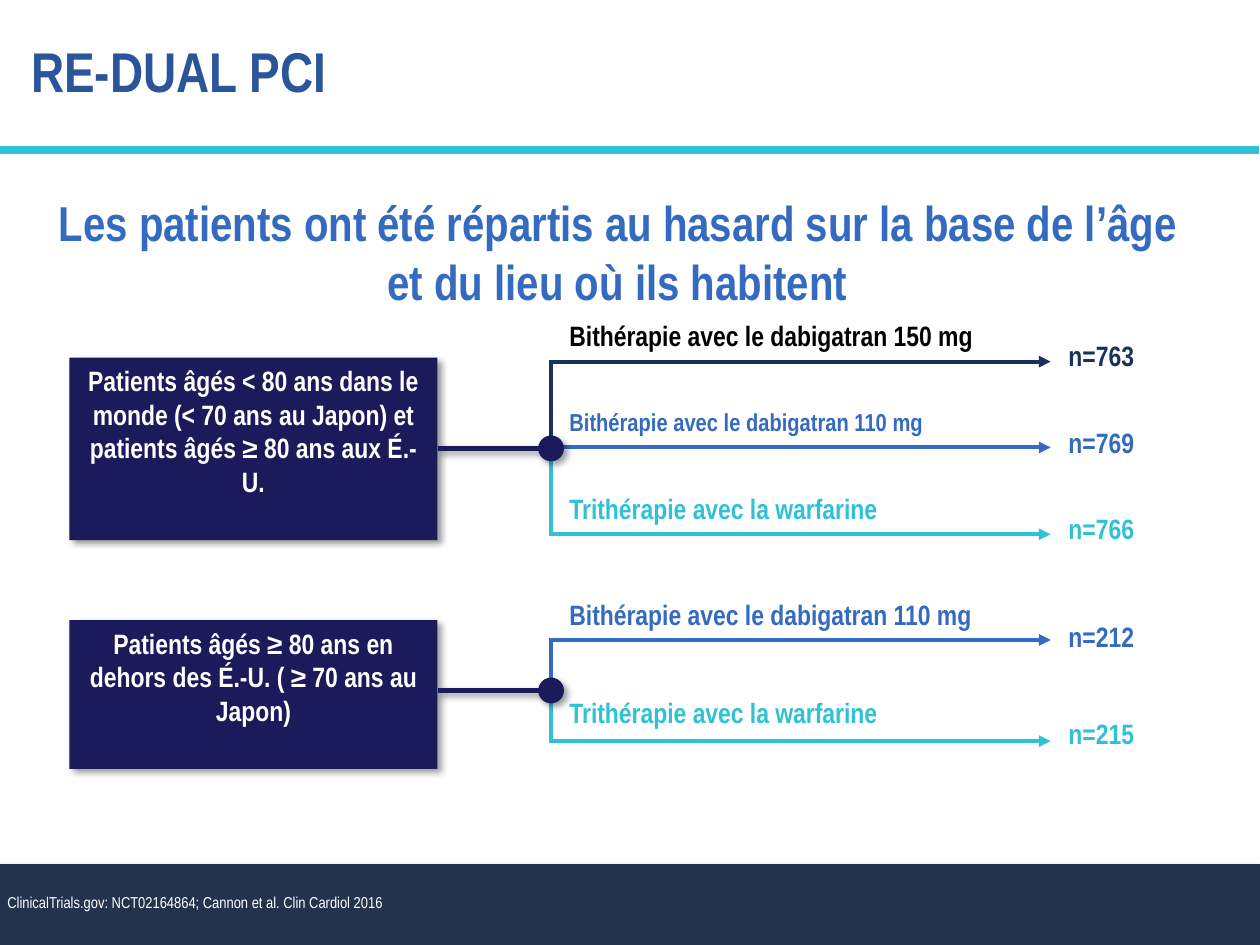
from lxml import etree
from pptx import Presentation
from pptx.dml.color import RGBColor
from pptx.enum import shapes, text
from pptx.oxml import ns
from pptx.util import Cm, Pt

FONT = "Arial Narrow"
WHITE = RGBColor(0xFF, 0xFF, 0xFF)
BLACK = RGBColor(0x00, 0x00, 0x00)
TITLE_BLUE = RGBColor(0x2A, 0x55, 0x9A)
BLUE = RGBColor(0x35, 0x6A, 0xC1)
TEAL = RGBColor(0x30, 0xC1, 0xD7)
NAVY = RGBColor(0x19, 0x32, 0x5C)
INDIGO = RGBColor(0x1B, 0x1A, 0x5A)
FOOTER = RGBColor(0x23, 0x33, 0x4E)

# Content; all positions are in centimetres
TITLE = "RE-DUAL PCI"
HEADLINE = ["Les patients ont été répartis au hasard sur la base de l’âge",
            "et du lieu où ils habitent"]
SOURCE = "ClinicalTrials.gov: NCT02164864; Cannon et al. Clin Cardiol 2016"
# Arms: label, size, label colour, label top, count, count top, line colour, line y
GROUPS = [
    {"text": "Patients âgés < 80 ans dans le monde (< 70 ans au Japon) et "
             "patients âgés ≥ 80 ans aux É.-U.",
     "top": 7.21, "height": 3.68, "node": 9.04,
     "arms": [
         ("Bithérapie avec le dabigatran 150 mg", 16, BLACK, 6.43, "n=763", 7.06, NAVY, 7.29),
         ("Bithérapie avec le dabigatran 110 mg", 14, BLUE, 8.2, "n=769", 8.81, BLUE, 9.02),
         ("Trithérapie avec la warfarine", 16, TEAL, 9.91, "n=766", 10.54, TEAL, 10.77)]},
    {"text": "Patients âgés ≥ 80 ans en dehors des É.-U. ( ≥ 70 ans au Japon)",
     "top": 12.5, "height": 3.0, "node": 13.92,
     "arms": [
         ("Bithérapie avec le dabigatran 110 mg", 16, BLUE, 12.04, "n=212", 12.73, BLUE, 12.9),
         ("Trithérapie avec la warfarine", 16, TEAL, 14.02, "n=215", 14.68, TEAL, 14.94)]},
]
BOX_LEFT, BOX_WIDTH = 1.4, 7.42
NODE_X, RADIUS = 11.11, 0.26
LABEL_X, ARROW_END, COUNT_X = 11.48, 21.18, 21.54

deck = Presentation()
deck.slide_width, deck.slide_height = Cm(25.4), Cm(19.05)
page = deck.slides.add_slide(deck.slide_layouts[6])


def add_effects(shape, shadow=None):
    """Replace the theme shadow by none, or by (alpha %, blur, distance, angle)."""
    effects = etree.SubElement(shape._element.spPr, ns.qn("a:effectLst"))
    if shadow:
        alpha, blur, distance, angle = shadow
        outer = etree.SubElement(effects, ns.qn("a:outerShdw"), blurRad=str(Pt(blur)),
                                 dist=str(Pt(distance)), dir=str(angle * 60000),
                                 algn="tl", rotWithShape="0")
        color = etree.SubElement(outer, ns.qn("a:srgbClr"), val="000000")
        etree.SubElement(color, ns.qn("a:alpha"), val=str(alpha * 1000))


SOFT = (40, 4, 3, 45)


def add_solid(kind, left, top, width, height, color, shadow):
    shape = page.shapes.add_shape(kind, Cm(left), Cm(top), Cm(width), Cm(height))
    shape.fill.solid()
    shape.fill.fore_color.rgb = color
    shape.line.fill.background()
    add_effects(shape, shadow)
    return shape


def add_line(x1, y1, x2, y2, color, weight=2.25, arrow=False, shadow=None):
    line = page.shapes.add_connector(shapes.MSO_CONNECTOR.STRAIGHT,
                                     Cm(x1), Cm(y1), Cm(x2), Cm(y2))
    line.line.color.rgb = color
    line.line.width = Pt(weight)
    if arrow:
        etree.SubElement(line.line._get_or_add_ln(), ns.qn("a:tailEnd"), type="triangle")
    add_effects(line, shadow)


def write(shape, lines, size, color, bold=True, align=text.PP_ALIGN.LEFT,
          anchor=text.MSO_ANCHOR.TOP, insets=None, spacing=None, wrap=True):
    frame = shape.text_frame
    frame.word_wrap = wrap
    frame.vertical_anchor = anchor
    if insets:
        (frame.margin_left, frame.margin_top,
         frame.margin_right, frame.margin_bottom) = map(Cm, insets)
    frame.text = "\n".join(lines)
    for para in frame.paragraphs:
        para.alignment = align
        para.line_spacing = spacing
        for span in para.runs:
            span.font.name = FONT
            span.font.size = Pt(size)
            span.font.bold = bold
            span.font.color.rgb = color


def add_text(left, top, width, height, lines, size, color, **style):
    box = page.shapes.add_textbox(Cm(left), Cm(top), Cm(width), Cm(height))
    write(box, lines, size, color, **style)


# Footer band, title and headline
add_solid(shapes.MSO_SHAPE.RECTANGLE, 0, 17.42, 25.4, 1.63, FOOTER, (35, 3.1, 1.8, 90))
add_line(0, 3.03, 25.38, 3.03, TEAL, 4.5)
add_text(0.15, 17.68, 22.15, 1.07, [SOURCE], 9, WHITE, bold=False,
         anchor=text.MSO_ANCHOR.MIDDLE, insets=(0, 0, 0, 0), spacing=0.9)
add_text(0.38, 0.61, 20.6, 1.63, [TITLE], 32, TITLE_BLUE)
add_text(0.38, 3.76, 24.13, 2.64, HEADLINE, 28, BLUE, align=text.PP_ALIGN.CENTER)

# Randomisation trees
LABEL_INSETS = (0, 0, 0, 0.1)
for group in GROUPS:
    node_y = group["node"]
    box = add_solid(shapes.MSO_SHAPE.RECTANGLE, BOX_LEFT, group["top"], BOX_WIDTH,
                    group["height"], INDIGO, SOFT)
    write(box, [group["text"]], 16, WHITE, align=text.PP_ALIGN.CENTER)

    for label, size, label_color, label_top, count, count_top, color, y in group["arms"]:
        if abs(y - node_y) > RADIUS:
            edge = node_y + (RADIUS if y > node_y else -RADIUS)
            add_line(NODE_X, edge, NODE_X, y, color)
        add_line(NODE_X - 0.04, y, ARROW_END, y, color, arrow=True)
        add_text(LABEL_X, label_top, 9.3, 0.78, [label], size, label_color,
                 insets=LABEL_INSETS)
        add_text(COUNT_X, count_top, 1.6, 0.58, [count], 16, color,
                 insets=LABEL_INSETS, spacing=Pt(12.6), wrap=False)

    add_line(BOX_LEFT + BOX_WIDTH, node_y, NODE_X, node_y, INDIGO, 3, shadow=SOFT)
    add_solid(shapes.MSO_SHAPE.FLOWCHART_CONNECTOR, NODE_X - RADIUS, node_y - RADIUS,
              2 * RADIUS, 2 * RADIUS, INDIGO, SOFT)

deck.save("out.pptx")
